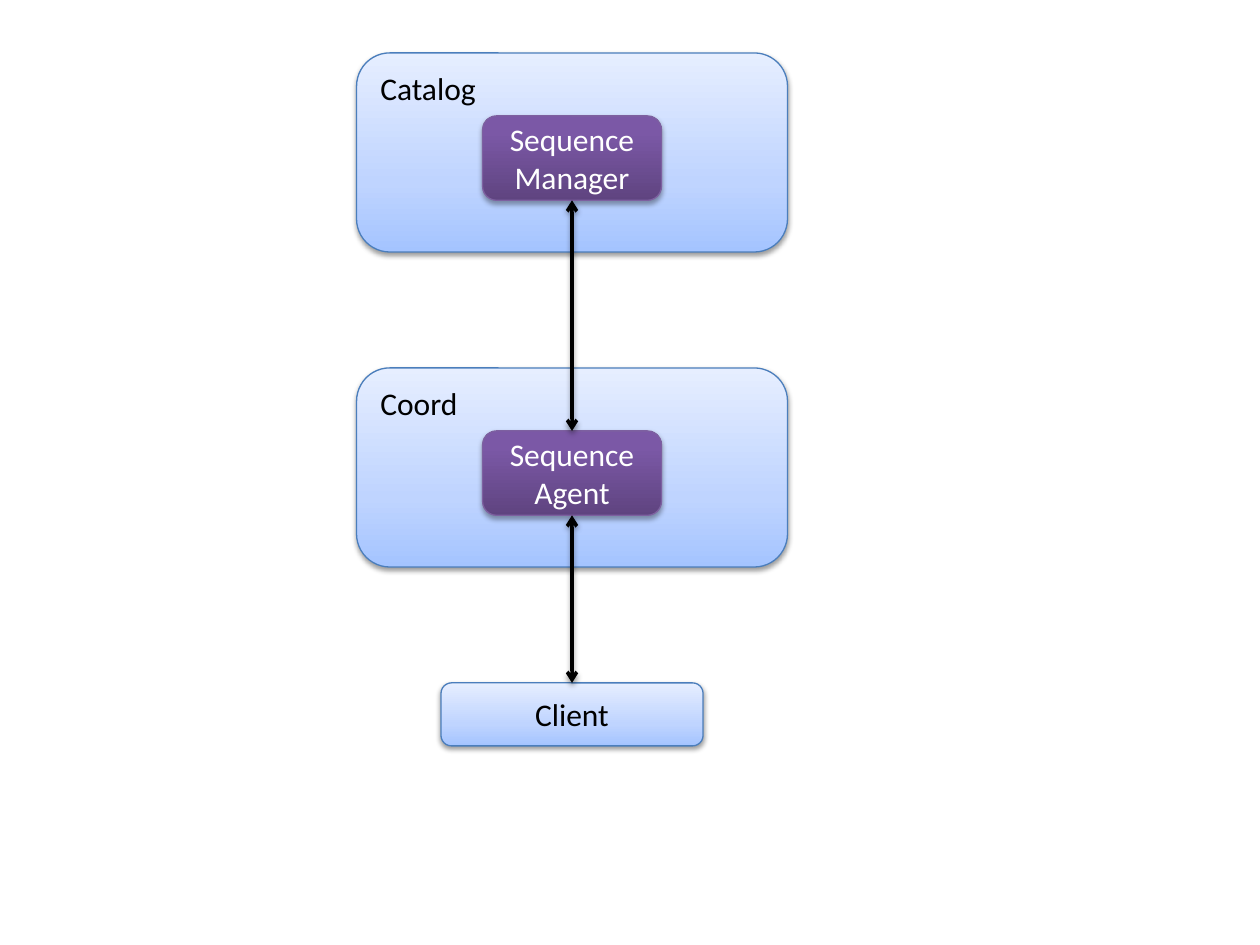
from lxml import etree
from pptx import Presentation
from pptx.dml.color import RGBColor
from pptx.enum import shapes, text
from pptx.oxml import ns
from pptx.util import Inches, Pt

BLACK = RGBColor(0x00, 0x00, 0x00)
WHITE = RGBColor(0xFF, 0xFF, 0xFF)
BLUE_LINE = RGBColor(0x4B, 0x7E, 0xBC)
PURPLE_LINE = RGBColor(0x7D, 0x60, 0xA0)

BLUE = {"stops": [(0, "A4C4FF"), (35, "BFD4FF"), (100, "E6EEFF")],
        "line": BLUE_LINE, "color": BLACK, "shadow": (38, 1.6)}
PURPLE = {"stops": [(0, "5F4480"), (80, "7B58A6"), (100, "7C57A8")],
          "line": PURPLE_LINE, "color": WHITE, "shadow": (35, 1.8)}

SERVERS = [("Catalog", 0.97, ["Sequence", "Manager"]),
           ("Coord", 0.82, ["Sequence", "Agent"])]
CLIENT = "Client"

CENTER, TOP, PITCH = 4.54, 0.42, 2.5
SERVER_W, SERVER_H = 3.42, 1.58
PART_W, PART_H, PART_DROP = 1.42, 0.67, 0.5
CLIENT_W, CLIENT_H = 2.08, 0.5
LABEL_LEFT, LABEL_DROP, LABEL_H = 2.92, 0.08, 0.4


def add_xml(parent, tag, **attrs):
    el = etree.SubElement(parent, ns.qn("a:" + tag))
    for key, value in attrs.items():
        el.set(key, str(value))
    return el


def add_shadow(sp, alpha, dist):
    effects = add_xml(sp._element.spPr, "effectLst")
    shadow = add_xml(effects, "outerShdw", blurRad=Pt(3.1), dist=Pt(dist),
                     dir=90 * 60000, rotWithShape=0)
    add_xml(add_xml(shadow, "srgbClr", val="000000"), "alpha", val=alpha * 1000)


def write(tf, lines, color, align):
    for i, line in enumerate(lines):
        p = tf.paragraphs[0] if i == 0 else tf.add_paragraph()
        p.alignment = align
        r = p.add_run()
        r.text = line
        for key, value in {"name": "Calibri", "size": Pt(18)}.items():
            setattr(r.font, key, value)
        r.font.color.rgb = color


def add_box(s, top, width, height, style, lines=()):
    sp = s.shapes.add_shape(shapes.MSO_SHAPE.ROUNDED_RECTANGLE,
                            Inches(CENTER - width / 2), Inches(top),
                            Inches(width), Inches(height))
    sp.fill.gradient()
    sp.fill.gradient_angle = 90
    stops = sp._element.spPr.find(".//" + ns.qn("a:gsLst"))
    for stop in list(stops):
        stops.remove(stop)
    for pos, color in style["stops"]:
        add_xml(add_xml(stops, "gs", pos=pos * 1000), "srgbClr", val=color)
    sp.line.color.rgb = style["line"]
    sp.line.width = Pt(0.75)
    add_shadow(sp, *style["shadow"])
    sp.text_frame.vertical_anchor = text.MSO_ANCHOR.MIDDLE
    write(sp.text_frame, lines, style["color"], text.PP_ALIGN.CENTER)


def add_label(s, top, width, label):
    tf = s.shapes.add_textbox(Inches(LABEL_LEFT), Inches(top),
                              Inches(width), Inches(LABEL_H)).text_frame
    tf.word_wrap = False
    tf.auto_size = text.MSO_AUTO_SIZE.SHAPE_TO_FIT_TEXT
    write(tf, [label], BLACK, text.PP_ALIGN.LEFT)


def add_arrow(s, start, end):
    c = s.shapes.add_connector(shapes.MSO_CONNECTOR.STRAIGHT,
                               Inches(CENTER), Inches(start),
                               Inches(CENTER), Inches(end))
    c.line.color.rgb = BLACK
    c.line.width = Pt(2)
    for tag in ("headEnd", "tailEnd"):
        add_xml(c.line._get_or_add_ln(), tag, type="arrow")
    add_shadow(c, *BLUE["shadow"])


def main():
    prs = Presentation()
    prs.slide_width, prs.slide_height = Inches(10), Inches(7.5)
    s = prs.slides.add_slide(prs.slide_layouts[6])

    tops = [TOP + i * PITCH for i in range(len(SERVERS) + 1)]
    for top, (label, label_w, part) in zip(tops, SERVERS):
        add_box(s, top, SERVER_W, SERVER_H, BLUE)
        add_label(s, top + LABEL_DROP, label_w, label)
        add_box(s, top + PART_DROP, PART_W, PART_H, PURPLE, part)
    add_box(s, tops[-1], CLIENT_W, CLIENT_H, BLUE, [CLIENT])

    part_tops = [top + PART_DROP for top in tops[:-1]]
    for start, end in zip(part_tops, part_tops[1:] + tops[-1:]):
        add_arrow(s, start + PART_H, end)
    prs.save("out.pptx")


if __name__ == "__main__":
    main()
